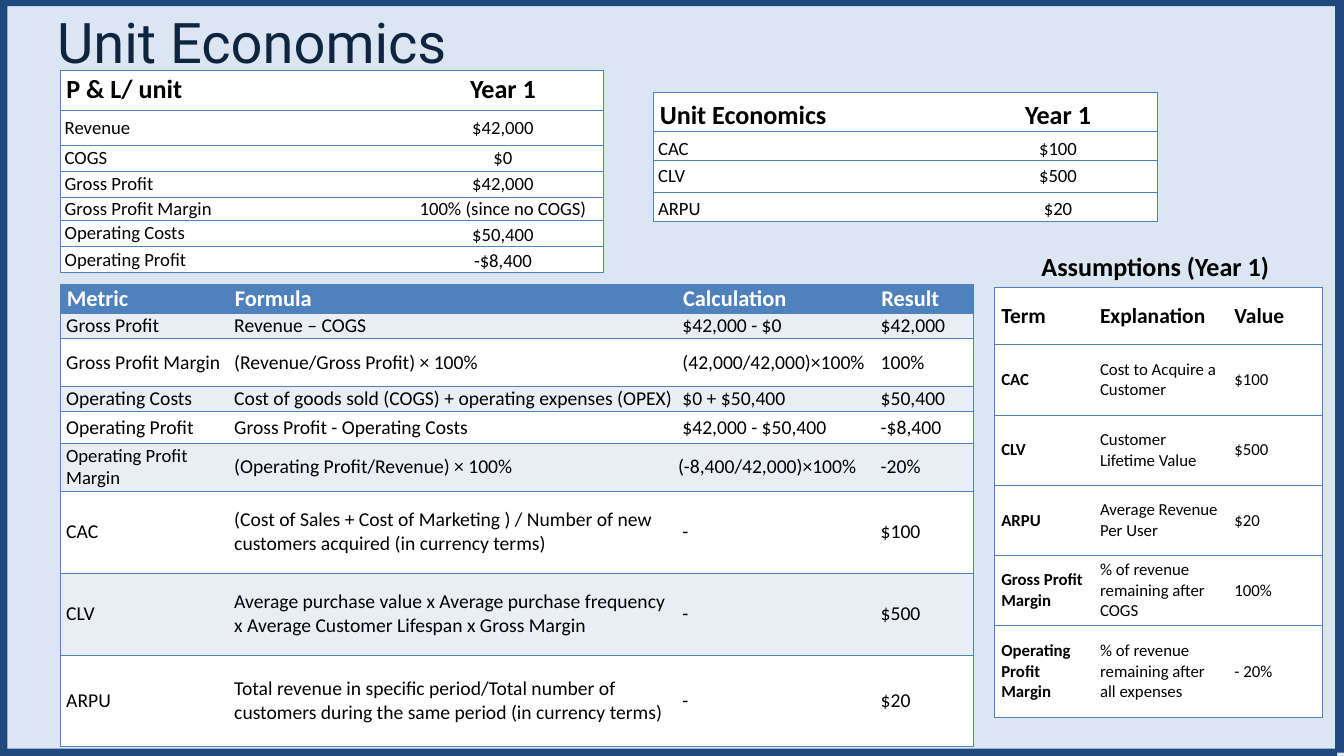
import pptx
import pptx.dml.color
import pptx.enum.shapes
import pptx.enum.text
import pptx.oxml
import pptx.oxml.ns
import pptx.util
from pptx.util import Inches

THEME = {
    "background": "DCE6F2", "title": "0F243E", "frame": "1F497D",
    "accent": "4F81BD", "band": "E9EDF4", "white": "FFFFFF", "black": "000000",
    "title_font": "Roboto", "body_font": "Calibri",
    "title_size": 60, "heading_size": 28,
}
ALIGN = pptx.enum.text.PP_ALIGN
ANCHOR = pptx.enum.text.MSO_ANCHOR
SPACE_WIDTH = 0.226  # text indent as a share of the type size

# Content: anchored-low cells and other exceptions are keyed by (row, column)
PROFIT_AND_LOSS = {
    "at": (0.9, 1.04), "columns": [5.09, 2.99],
    "heights": [0.6, 0.52, 0.39, 0.39, 0.34, 0.39, 0.39],
    "sizes": (28, 20), "margins": (0, 0), "indent": True, "centred": {1},
    "bottom": {(4, 1), (5, 1), (6, 1)},
    "rows": [
        ("P & L/ unit", "Year 1"),
        ("Revenue", "$42,000"),
        ("COGS", "$0"),
        ("Gross Profit", "$42,000"),
        ("Gross Profit Margin", "100% (since no COGS)"),
        ("Operating Costs", "$50,400"),
        ("Operating Profit", "-$8,400"),
    ],
}
UNIT_ECONOMICS = {
    "at": (9.73, 1.38), "columns": [4.54, 2.95],
    "heights": [0.58, 0.43, 0.47, 0.43],
    "sizes": (28, 20), "margins": (0, 0), "indent": True, "centred": {1},
    "bottom": {(row, column) for row in (0, 1, 3) for column in (0, 1)},
    "rows": [
        ("Unit Economics", "Year 1"),
        ("CAC", "$100"),
        ("CLV", "$500"),
        ("ARPU", "$20"),
    ],
}
ASSUMPTIONS = {
    "at": (14.8, 4.28), "columns": [1.47, 2, 1.41],
    "heights": [0.85] + [1.045] * 4 + [1.36],
    "sizes": (23, 18), "margins": (0.1, 0.05), "bold_first": True,
    "rows": [
        ("Term", "Explanation", "Value"),
        ("CAC", "Cost to Acquire a Customer", "$100"),
        ("CLV", "Customer Lifetime Value", "$500"),
        ("ARPU", "Average Revenue Per User", "$20"),
        ("Gross Profit Margin", "% of revenue remaining after COGS", "100%"),
        ("Operating Profit Margin", "% of revenue remaining after all expenses", "- 20%"),
    ],
}
METRICS = {
    "at": (0.9, 4.23), "columns": [2.5, 6.67, 2.95, 1.46],
    "heights": [0.43, 0.37, 0.71, 0.38, 0.47, 0.71, 1.22, 1.23, 1.35],
    "sizes": (24, 21), "margins": (0.02, 0.01), "indent": True, "banded": True,
    "flush": {(5, 2)}, "special_sizes": {(5, 0): 20},
    "rows": [
        ("Metric", "Formula", "Calculation", "Result"),
        ("Gross Profit", "Revenue – COGS", "$42,000 - $0", "$42,000"),
        ("Gross Profit Margin", "(Revenue/Gross Profit) × 100%", "(42,000/42,000)×100%", "100%"),
        ("Operating Costs", "Cost of goods sold (COGS) + operating expenses (OPEX)",
         "$0 + $50,400", "$50,400"),
        ("Operating Profit", "Gross Profit - Operating Costs", "$42,000 - $50,400", "-$8,400"),
        ("Operating Profit\nMargin", "(Operating Profit/Revenue) × 100%",
         "(-8,400/42,000)×100%", "-20%"),
        ("CAC", "(Cost of Sales + Cost of Marketing ) / Number of new\n"
                "customers acquired (in currency terms)", "-", "$100"),
        ("CLV", "Average purchase value x Average purchase frequency\n"
                "x Average Customer Lifespan x Gross Margin", "-", "$500"),
        ("ARPU", "Total revenue in specific period/Total number of\n"
                 "customers during the same period (in currency terms)", "-", "$20"),
    ],
}
FRAME_BARS = [
    (0, -0.02, 19.9, 0.11), (0, 11.14, 19.9, 0.11),
    (-0.02, 0.03, 0.13, 11.2), (19.87, 0, 0.13, 11.2),
]


def color(name):
    return pptx.dml.color.RGBColor.from_string(THEME[name])


def add_span(para, text, size, ink="black", bold=False, font="body_font"):
    span = para.add_run()
    span.text = text
    span.font.size = pptx.util.Pt(size)
    span.font.name = THEME[font]
    span.font.bold = bold
    span.font.color.rgb = color(ink)


def set_borders(cell, visible):
    properties = cell._tc.get_or_add_tcPr()
    for side in "LRTB":
        paint = "<a:noFill/>"
        if side in visible:
            paint = f'<a:solidFill><a:srgbClr val="{THEME["accent"]}"/></a:solidFill>'
        properties.append(pptx.oxml.parse_xml(
            f'<a:ln{side} {pptx.oxml.ns.nsdecls("a")} w="12700">{paint}</a:ln{side}>'))


def format_cell(cell, text, row, column, data):
    header, banded = row == 0, data.get("banded", False)
    centred = column in data.get("centred", ())
    size = data.get("special_sizes", {}).get((row, column), data["sizes"][0 if header else 1])

    # Borders and fill
    last = len(data["columns"]) - 1
    set_borders(cell, "TB" + ("L" if column == 0 else "") + ("R" if column == last else ""))
    fill = "white"
    if banded and header:
        fill = "accent"
    elif banded and row % 2:
        fill = "band"
    cell.fill.solid()
    cell.fill.fore_color.rgb = color(fill)

    # Margins and anchor
    side, edge = data["margins"]
    indented = data.get("indent") and not centred and (row, column) not in data.get("flush", ())
    indent = size * SPACE_WIDTH / 72 if indented else 0
    cell.margin_left, cell.margin_right = Inches(side + indent), Inches(side)
    cell.margin_top = cell.margin_bottom = Inches(edge)
    low = (row, column) in data.get("bottom", ())
    cell.vertical_anchor = ANCHOR.BOTTOM if low else ANCHOR.MIDDLE

    # Text
    bold = header or (column == 0 and data.get("bold_first", False))
    ink = "white" if header and banded else "black"
    for number, line in enumerate(text.split("\n")):
        para = cell.text_frame.paragraphs[0] if number == 0 else cell.text_frame.add_paragraph()
        para.alignment = ALIGN.CENTER if centred else ALIGN.LEFT
        add_span(para, line, size, ink, bold)


def add_data_table(page, data):
    left, top = data["at"]
    widths, heights, rows = data["columns"], data["heights"], data["rows"]
    table = page.shapes.add_table(
        len(rows), len(widths), Inches(left), Inches(top),
        Inches(sum(widths)), Inches(sum(heights))).table
    table.first_row = table.horz_banding = False
    for column, width in zip(table.columns, widths):
        column.width = Inches(width)
    for row, height in zip(table.rows, heights):
        row.height = Inches(height)
    for row, texts in enumerate(rows):
        for column, text in enumerate(texts):
            format_cell(table.cell(row, column), text, row, column, data)


def main():
    deck = pptx.Presentation()
    deck.slide_width, deck.slide_height = Inches(20), Inches(11.25)
    page = deck.slides.add_slide(deck.slide_layouts[5])
    page.background.fill.solid()
    page.background.fill.fore_color.rgb = color("background")

    # Title
    title = page.shapes.title
    title.left, title.top, title.width, title.height = map(Inches, (0.75, 0.18, 16.74, 0.86))
    title.text_frame.auto_size = pptx.enum.text.MSO_AUTO_SIZE.NONE
    title.text_frame.vertical_anchor = ANCHOR.MIDDLE
    para = title.text_frame.paragraphs[0]
    para.alignment = ALIGN.LEFT
    add_span(para, "Unit Economics", THEME["title_size"], "title", font="title_font")

    # Tables
    for data in (PROFIT_AND_LOSS, UNIT_ECONOMICS, ASSUMPTIONS, METRICS):
        add_data_table(page, data)

    # Heading above the assumptions
    box = page.shapes.add_textbox(*map(Inches, (15.4, 3.68, 3.63, 0.57)))
    box.text_frame.word_wrap = False
    box.text_frame.auto_size = pptx.enum.text.MSO_AUTO_SIZE.SHAPE_TO_FIT_TEXT
    add_span(box.text_frame.paragraphs[0], "Assumptions (Year 1)",
             THEME["heading_size"], bold=True)

    # Frame around the page
    for bounds in FRAME_BARS:
        bar = page.shapes.add_shape(
            pptx.enum.shapes.MSO_SHAPE.RECTANGLE, *map(Inches, bounds))
        bar.shadow.inherit = False
        bar.fill.solid()
        bar.fill.fore_color.rgb = color("frame")
        bar.line.fill.background()

    deck.save("out.pptx")


if __name__ == "__main__":
    main()
